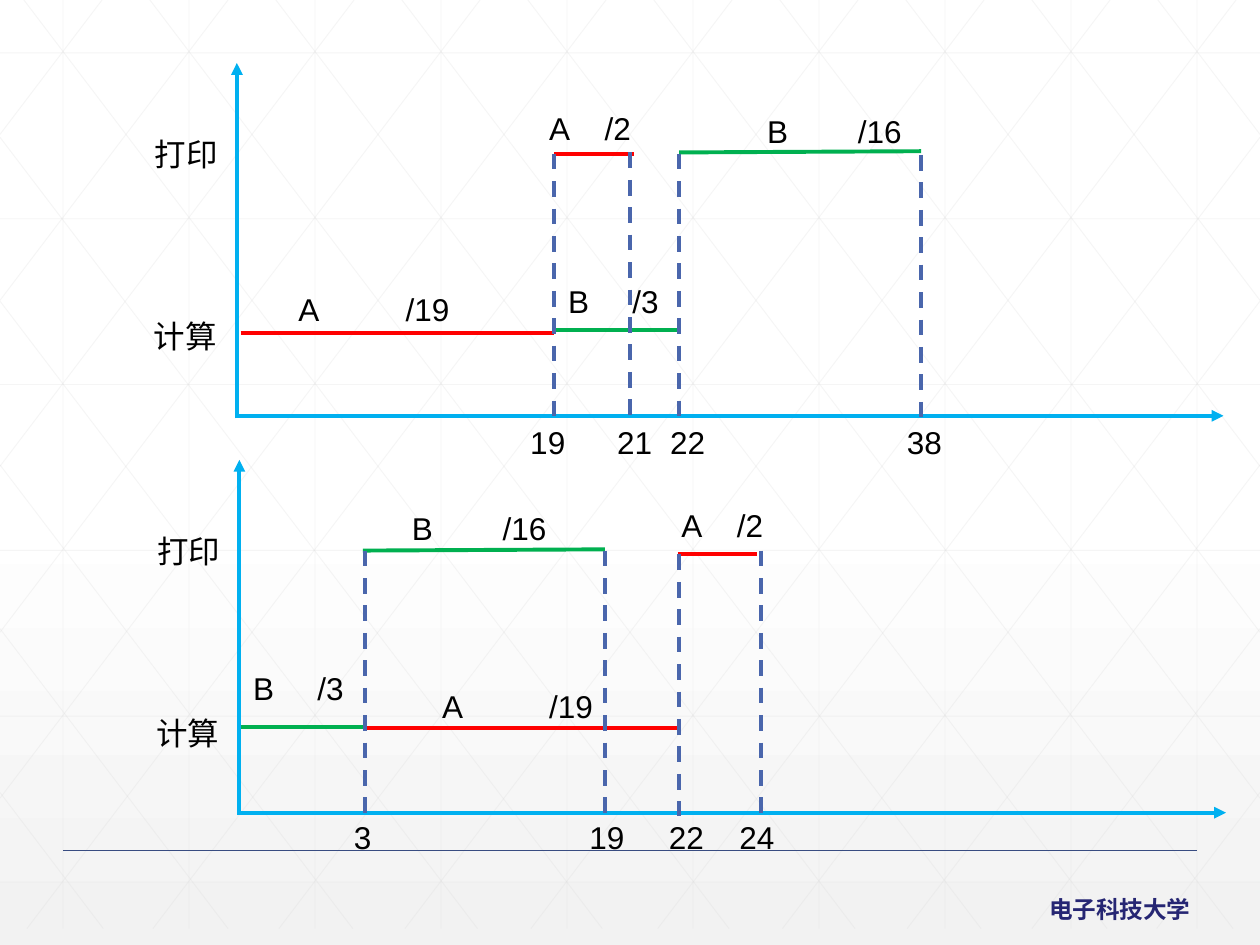
import copy
import lxml.etree
import pptx
import pptx.dml.color
import pptx.enum.dml
import pptx.enum.shapes
import pptx.oxml.ns
import pptx.util

Inches = pptx.util.Inches
qn = pptx.oxml.ns.qn

RED, GREEN, BLUE, AXIS = "FF0000", "00B050", "4A66AC", "00B0F0"

PLOTS = [
    {
        "zero": (1.88, 3.3),
        "bars": [
            ((1.91, 2.64), (4.4, 2.64), RED),
            ((4.4, 1.22), (5.03, 1.22), RED),
            ((4.4, 2.62), (5.38, 2.62), GREEN),
            ((5.39, 1.21), (7.31, 1.2), GREEN),
        ],
        "drops": [(4.4, 1.22), (5, 1.21), (5.39, 1.22), (7.31, 1.23)],
        "jobs": [
            (2.27, 2.25, "A\t/19", 0.85),
            (5.99, 0.84, "B\t/16", 0.72),
            (4.26, 0.82, "A\t/2", 0.44),
            (4.41, 2.19, "B\t/3", 0.51),
        ],
        "times": (3.97, 3.31, "\t19\t21\t22\t38", [0.14, 0.83, 1.25, 3.13]),
    },
    {
        "zero": (1.9, 6.45),
        "bars": [
            ((2.89, 5.78), (5.38, 5.78), RED),
            ((5.38, 4.4), (6.01, 4.4), RED),
            ((1.91, 5.77), (2.89, 5.77), GREEN),
            ((2.88, 4.37), (4.8, 4.36), GREEN),
        ],
        "drops": [(2.9, 4.37), (5.39, 4.4), (4.8, 4.37), (6.04, 4.37)],
        "jobs": [
            (3.41, 5.4, "A\t/19", 0.85),
            (3.17, 3.99, "B\t/16", 0.72),
            (5.31, 3.97, "A\t/2", 0.44),
            (1.91, 5.26, "B\t/3", 0.51),
        ],
        "times": (2.5, 6.44, "\t3\t19\t22\t24", [0.21, 2.08, 2.71, 3.27]),
    },
]
ROWS = [("计算", 0.76, 0.83), ("打印", 0.75, 2.28)]

deck = pptx.Presentation()
deck.slide_width, deck.slide_height = Inches(10), Inches(7.5)
slide = deck.slides.add_slide(deck.slide_layouts[6])


def tint(code):
    return pptx.dml.color.RGBColor.from_string(code)


def sub(node, tag, **attrs):
    return lxml.etree.SubElement(node, qn(tag), **attrs)


def draw(start, end, color, width=2.25, dash=False, arrow=False, alpha=None):
    line = slide.shapes.add_connector(
        pptx.enum.shapes.MSO_CONNECTOR.STRAIGHT,
        *[Inches(v) for v in (*start, *end)])
    line.line.color.rgb = tint(color)
    line.line.width = pptx.util.Pt(width)
    if dash:
        line.line.dash_style = pptx.enum.dml.MSO_LINE.DASH
    props = line.element.spPr
    if arrow:
        sub(props.find(qn("a:ln")), "a:tailEnd", type="triangle")
    if alpha:
        sub(props.find(".//" + qn("a:srgbClr")), "a:alpha", val=str(alpha * 1000))
    sub(props, "a:effectLst")


def write(left, top, width, text, tabs=(), size=18, face="Arial",
          color="000000", bold=False, wrap=True, height=0.4):
    box = slide.shapes.add_textbox(*[Inches(v) for v in (left, top, width, height)])
    box.text_frame.word_wrap = wrap
    para = box.text_frame.paragraphs[0]
    para.text = text
    if tabs:
        stops = sub(para._p.get_or_add_pPr(), "a:tabLst")
        for stop in tabs:
            sub(stops, "a:tab", pos=str(Inches(stop)), algn="l")
    font = para.font
    font.size, font.name, font.bold = pptx.util.Pt(size), face, bold
    font.color.rgb = tint(color)


def paint():
    fill = slide.background.fill
    fill.gradient()
    fill.gradient_angle = 270
    first = slide.element.find(".//" + qn("a:gs"))
    first.addnext(copy.deepcopy(first))
    for stop, (place, color) in zip(
            fill.gradient_stops, [(0, "FFFFFF"), (0.53, "FFFFFF"), (1, "F2F2F2")]):
        stop.position = place
        stop.color.rgb = tint(color)


def weave():
    low, slope = 7.37, 1.317
    mesh = [((i + 0.5, 0), (i + 0.5, low)) for i in range(10)]
    mesh += [((0, 0.42 + 1.316 * i), (10, 0.42 + 1.316 * i)) for i in range(6)]
    slant = []
    for i in range(10):
        x = 0.19 + i
        drop = min(low, (10 - x) * slope)
        slant.append(((x, 0), (x + drop / slope, drop)))
    for i in range(5):
        slant.append(((4.78 - 0.99 * i, low), (0, 1.09 + 1.3 * i)))
    flip = [((10 - a, b), (10 - c, d)) for (a, b), (c, d) in slant]
    for start, end in mesh + slant + flip:
        draw(start, end, "D9D9D9", 0.5, alpha=25)


def plot(data):
    x, y = data["zero"]
    draw((x, y), (x + 7.83, y), AXIS, arrow=True)
    draw((x, y + 0.02), (x, y - 2.8), AXIS, arrow=True)
    for start, end, color in data["bars"]:
        draw(start, end, color)
    for left, top in data["drops"]:
        draw((left, top), (left, top + 2.08), BLUE, dash=True)
    for name, back, rise in ROWS:
        write(x - back, y - rise, 0.75, name)
    for left, top, text, tab in data["jobs"]:
        write(left, top, 1.52, text, [tab])
    left, top, text, tabs = data["times"]
    write(left, top, 5.06, text, tabs)


paint()
weave()
draw((0.5, 6.75), (9.5, 6.75), "384C81", 1)
write(8.23, 7.05, 1.34, "电子科技大学", size=13.5, face="Noto Sans CJK SC",
      color="262673", bold=True, wrap=False, height=0.33)
for data in PLOTS:
    plot(data)
deck.save("out.pptx")
